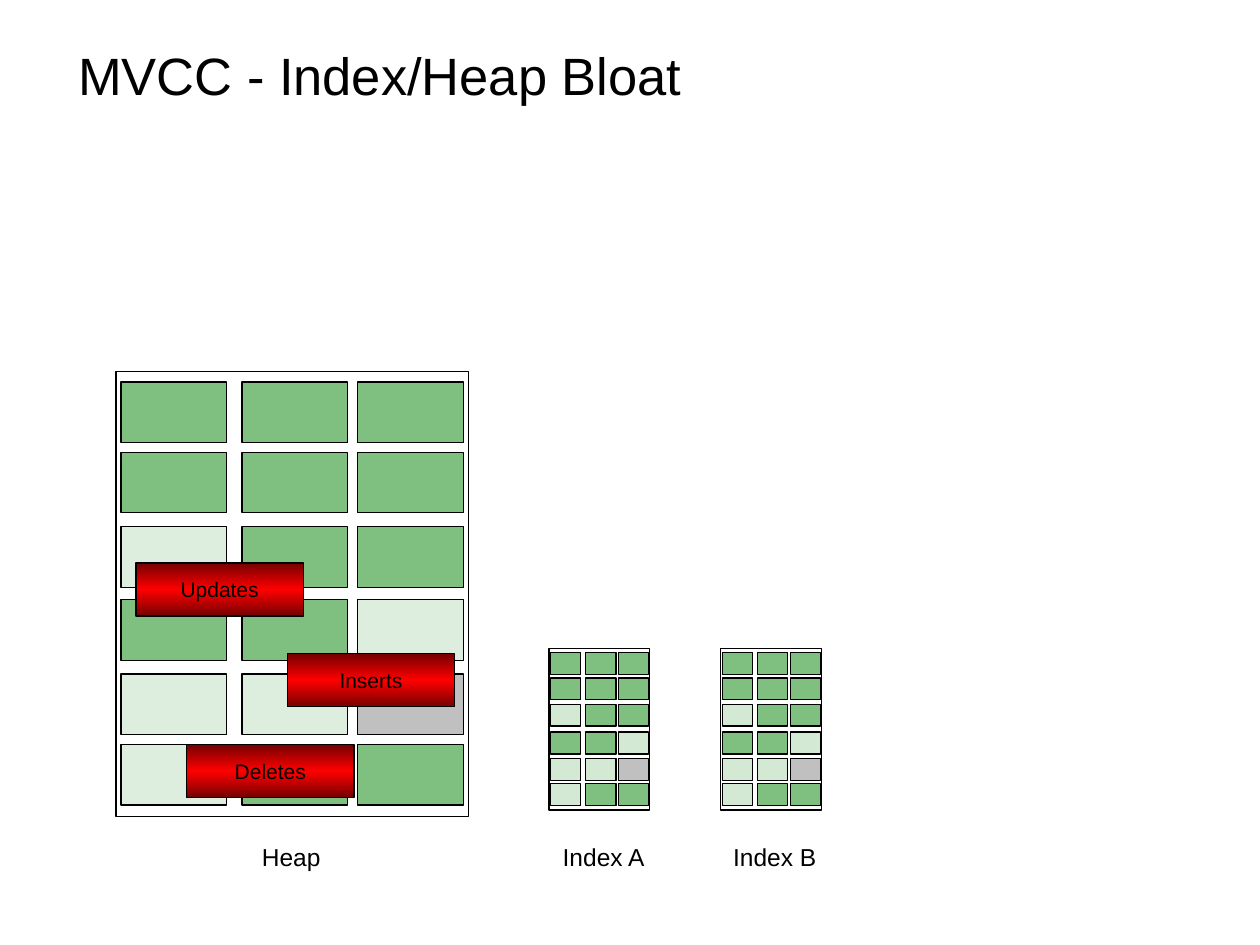
import copy

import lxml.etree
import pptx
import pptx.dml.color
import pptx.enum.shapes
import pptx.enum.text
import pptx.oxml.ns
import pptx.util

Cm = pptx.util.Cm
Pt = pptx.util.Pt
qn = pptx.oxml.ns.qn
ALIGN = pptx.enum.text.PP_ALIGN
ANCHOR = pptx.enum.text.MSO_ANCHOR

COLORS = {
    "ink": "000000",
    "page": "008000",
    "free": "C0C0C0",
    "dark_red": "750000",
    "red": "FF0000",
}

# One letter per page: L live, D dead, F free.
PAGE_ROWS = ["LLL", "LLL", "DLL", "LLD", "DDF", "DLL"]

HEAP = {
    "size": (7.11, 8.97),
    "columns": (0.1, 2.54, 4.87),
    "rows": (0.21, 1.63, 3.13, 4.6, 6.1, 7.52),
    "page": (2.13, 1.22),
    "dead_opacity": 13,
}
INDEX = {
    "size": (2.03, 3.25),
    "columns": (0.03, 0.74, 1.4),
    "rows": (0.08, 0.59, 1.12, 1.68, 2.21, 2.72),
    "page": (0.61, 0.44),
    "dead_opacity": 17,
}


def rgb(name):
    return pptx.dml.color.RGBColor.from_string(COLORS[name])


def write_text(frame, text, size=14, align=ALIGN.LEFT, anchor=ANCHOR.TOP,
               wrap=False, font="Arial", color="ink"):
    frame.word_wrap = wrap
    frame.vertical_anchor = anchor
    frame.text = text
    paragraph = frame.paragraphs[0]
    paragraph.alignment = align
    paragraph.font.size = Pt(size)
    paragraph.font.name = font
    paragraph.font.color.rgb = rgb(color)


class SlideBuilder:
    """Holds the current slide and its line style."""

    def __init__(self, slide, line_width=0.75):
        self.slide = slide
        self.line_width = Pt(line_width)

    def title(self, text, left, top, width, height):
        shape = self.slide.shapes.title
        shape.left, shape.top = Cm(left), Cm(top)
        shape.width, shape.height = Cm(width), Cm(height)
        write_text(shape.text_frame, text, size=30, anchor=ANCHOR.BOTTOM, wrap=True)

    def rectangle(self, shapes, left, top, size, fill=None, opacity=100):
        shape = shapes.add_shape(
            pptx.enum.shapes.MSO_SHAPE.RECTANGLE,
            Cm(left), Cm(top), Cm(size[0]), Cm(size[1]))
        shape.shadow.inherit = False
        shape.line.color.rgb = rgb("ink")
        shape.line.width = self.line_width
        if fill is None:
            shape.fill.background()
            return shape
        shape.fill.solid()
        shape.fill.fore_color.rgb = rgb(fill)
        if opacity < 100:
            color = shape.element.spPr.find(qn("a:solidFill")).find(qn("a:srgbClr"))
            lxml.etree.SubElement(color, qn("a:alpha"), val=str(opacity * 1000))
        return shape

    def storage(self, left, top, layout):
        """Draw a frame holding a grid of live, dead and free pages."""
        shapes = self.slide.shapes.add_group_shape().shapes
        self.rectangle(shapes, left, top, layout["size"])
        styles = {
            "L": ("page", 50),
            "D": ("page", layout["dead_opacity"]),
            "F": ("free", 100),
        }
        for row_top, states in zip(layout["rows"], PAGE_ROWS):
            for column_left, state in zip(layout["columns"], states):
                self.rectangle(shapes, left + column_left, top + row_top,
                               layout["page"], *styles[state])

    def operation(self, text, left, top):
        """Draw a red gradient box naming an operation."""
        shape = self.rectangle(self.slide.shapes, left, top, (3.38, 1.07))
        shape.fill.gradient()
        shape.fill.gradient_angle = 90
        stop_list = shape.element.spPr.find(qn("a:gradFill")).find(qn("a:gsLst"))
        stop_list.insert(1, copy.deepcopy(stop_list[0]))
        stops = zip(shape.fill.gradient_stops, (0, 0.5, 1),
                    ("dark_red", "red", "dark_red"))
        for stop, position, color in stops:
            stop.position = position
            stop.color.rgb = rgb(color)
        write_text(shape.text_frame, text, size=12, align=ALIGN.CENTER,
                   anchor=ANCHOR.MIDDLE)

    def caption(self, text, left, top, width, align=ALIGN.LEFT):
        shape = self.slide.shapes.add_textbox(Cm(left), Cm(top), Cm(width), Cm(0.86))
        write_text(shape.text_frame, text, align=align)


def main():
    presentation = pptx.Presentation()
    presentation.slide_width = Cm(25.4)
    presentation.slide_height = Cm(19.05)
    slide = presentation.slides.add_slide(presentation.slide_layouts[5])
    builder = SlideBuilder(slide)

    builder.title("MVCC - Index/Heap Bloat", 1.32, 0.13, 16.28, 2.13)
    builder.storage(2.34, 7.49, HEAP)
    builder.storage(11.07, 13.08, INDEX)
    for text, left, top in [("Updates", 2.74, 11.35),
                            ("Inserts", 5.79, 13.18),
                            ("Deletes", 3.76, 15.01)]:
        builder.operation(text, left, top)
    builder.storage(14.53, 13.08, INDEX)

    caption_top = 16.84
    builder.caption("Heap", 5.03, caption_top, 1.8)
    builder.caption("Index A", 11.07, caption_top, 2.2, align=ALIGN.CENTER)
    builder.caption("Index B", 14.53, caption_top, 2.2)
    presentation.save("out.pptx")


if __name__ == "__main__":
    main()
